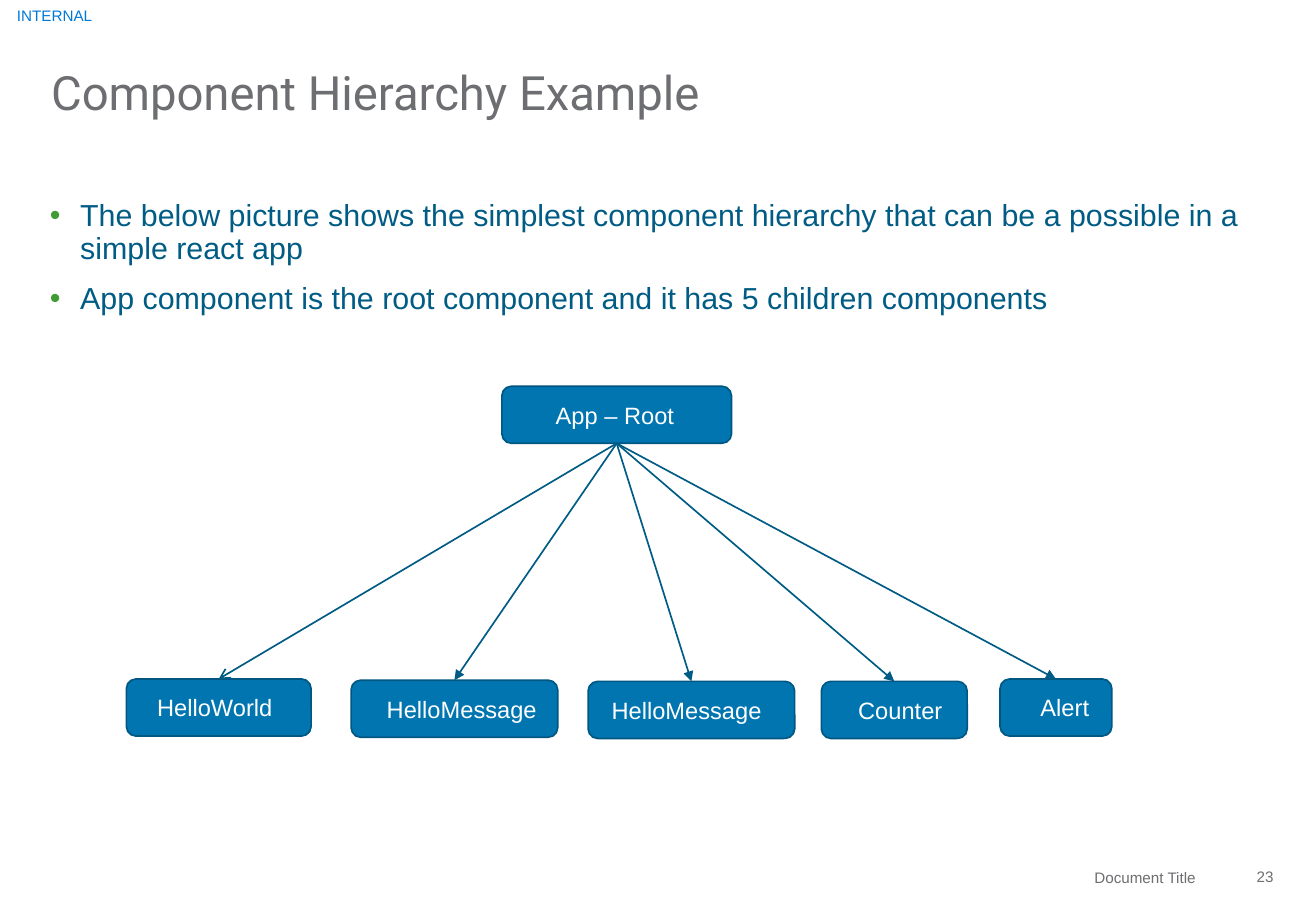
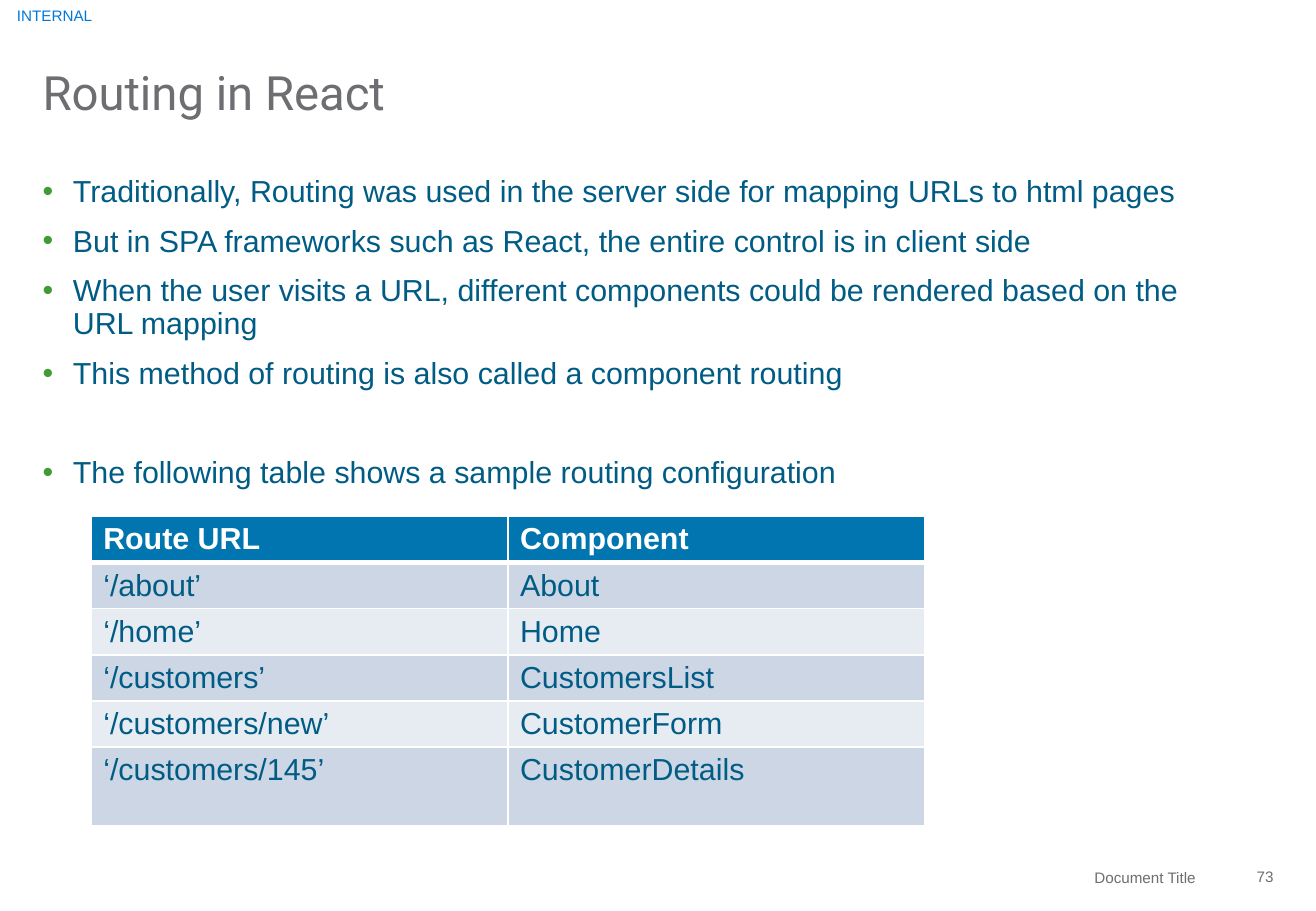
from dataclasses import dataclass
from typing import Any

from lxml.etree import SubElement
from pptx import Presentation
from pptx.dml.color import RGBColor
from pptx.enum.shapes import MSO_CONNECTOR as Connector, MSO_SHAPE as Preset
from pptx.enum.text import MSO_ANCHOR as Anchor, MSO_AUTO_SIZE as AutoSize, PP_ALIGN as Align
from pptx.oxml.ns import qn
from pptx.util import Inches, Pt

COLOURS = {
    "grey": "6D6E71",
    "label": "0078D7",
    "ink": "005C84",
    "bullet": "3F9C35",
    "fill": "0075B0",
    "outline": "005782",
    "white": "FFFFFF",
    "dark_band": "CCD6E4",
    "light_band": "E7ECF2",
}

NO_MARGINS = {f"margin_{side}": 0 for side in ("left", "top", "right", "bottom")}
FRAME = NO_MARGINS | {"word_wrap": True, "auto_size": AutoSize.NONE}
TITLE_FONT = {"name": "Roboto", "size": Pt(28), "bold": False}
BODY_FONT = {"name": "Arial", "size": Pt(18), "bold": False}
HEADER_FONT = BODY_FONT | {"bold": True}
NODE_FONT = {"name": "Arial", "size": Pt(14)}
SMALL_FONT = {"name": "Arial", "size": Pt(9)}


@dataclass(frozen=True)
class Area:
    left: float
    top: float
    width: float
    height: float

    def lengths(self) -> tuple:
        return tuple(Inches(v) for v in (self.left, self.top, self.width, self.height))


@dataclass(frozen=True)
class Marking:
    text: str
    area: Area
    colour: str
    align: Any = Align.LEFT
    right_margin: float = 0


@dataclass(frozen=True)
class Bullet:
    text: str
    space_before: float = 10


@dataclass(frozen=True)
class Node:
    text: str
    area: Area
    text_inset: float
    arrowhead: str = "triangle"


NODE_HEIGHT = 0.47
ROOT = Node("App – Root", Area(4.13, 3.18, 1.89, NODE_HEIGHT), 0.42)
CHILDREN = [
    Node("HelloWorld", Area(1.04, 5.59, 1.52, NODE_HEIGHT), 0.23, "arrow"),
    Node("HelloMessage", Area(2.89, 5.6, 1.7, NODE_HEIGHT), 0.27),
    Node("HelloMessage", Area(4.84, 5.61, 1.7, NODE_HEIGHT), 0.17),
    Node("Counter", Area(6.76, 5.61, 1.2, NODE_HEIGHT), 0.28),
    Node("Alert", Area(8.23, 5.59, 0.92, NODE_HEIGHT), 0.31),
]
HIERARCHY_POINTS = [
    Bullet(
        "The below picture shows the simplest component hierarchy "
        "that can be a possible in a simple react app",
        0,
    ),
    Bullet("App component is the root component and it has 5 children components"),
]
ROUTING_POINTS = [
    Bullet("Traditionally, Routing was used in the server side for mapping URLs to html pages", 0),
    Bullet("But in SPA frameworks such as React, the entire control is in client side"),
    Bullet(
        "When the user visits a URL, different components could be rendered "
        "based on the URL mapping"
    ),
    Bullet("This method of routing is also called a component routing"),
    Bullet("The following table shows a sample routing configuration", 39.6),
]
ROUTES = [
    ("Route URL", "Component"),
    ("‘/about’", "About"),
    ("‘/home’", "Home"),
    ("‘/customers’", "CustomersList"),
    ("‘/customers/new’", "CustomerForm"),
    ("‘/customers/145’", "CustomerDetails"),
]


def rgb(name: str) -> RGBColor:
    return RGBColor.from_string(COLOURS[name])


def apply(target: Any, formats: dict) -> None:
    for name, value in formats.items():
        setattr(target, name, value)


def write(para: Any, text: str, font: dict, colour: str) -> None:
    span = para.add_run()
    span.text = text
    apply(span.font, font)
    span.font.color.rgb = rgb(colour)


def place(shape: Any, area: Area) -> None:
    apply(shape, dict(zip(("left", "top", "width", "height"), area.lengths())))


def add_marking(page: Any, marking: Marking) -> None:
    box = page.shapes.add_textbox(*marking.area.lengths())
    frame = box.text_frame
    apply(frame, FRAME | {
        "vertical_anchor": Anchor.MIDDLE,
        "margin_right": Inches(marking.right_margin),
    })
    para = frame.paragraphs[0]
    para.alignment = marking.align
    write(para, marking.text, SMALL_FONT, marking.colour)


def add_bullet_mark(para: Any) -> None:
    properties = para._p.get_or_add_pPr()
    properties.set("marL", str(Inches(0.25)))
    properties.set("indent", str(-Inches(0.25)))
    colour = SubElement(properties, qn("a:buClr"))
    SubElement(colour, qn("a:srgbClr"), val=COLOURS["bullet"])
    SubElement(properties, qn("a:buFont"), typeface="Arial")
    SubElement(properties, qn("a:buChar"), char="•")


def add_page(
    deck: Any, number: int, title: str, title_area: Area, points: list[Bullet], body_area: Area
) -> Any:
    page = deck.slides.add_slide(deck.slide_layouts[1])
    for marking in (
        Marking(str(number), Area(10.09, 7.05, 0.39, 0.33), "grey", Align.RIGHT),
        Marking("Document Title", Area(6.19, 7.08, 3.8, 0.28), "grey", Align.RIGHT, 0.15),
        Marking("INTERNAL", Area(0.14, 0, 0.76, 0.26), "label"),
    ):
        add_marking(page, marking)

    heading = page.shapes.title
    place(heading, title_area)
    apply(heading.text_frame, FRAME | {"vertical_anchor": Anchor.BOTTOM})
    para = heading.text_frame.paragraphs[0]
    apply(para, {"alignment": Align.LEFT, "line_spacing": 0.9})
    write(para, title, TITLE_FONT, "grey")

    body = page.placeholders[1]
    place(body, body_area)
    frame = body.text_frame
    apply(frame, FRAME | {"vertical_anchor": Anchor.TOP})
    for index, point in enumerate(points):
        para = frame.add_paragraph() if index else frame.paragraphs[0]
        add_bullet_mark(para)
        apply(para, {"line_spacing": 0.9, "space_before": Pt(point.space_before)})
        write(para, point.text, BODY_FONT, "ink")
    return page


def add_node(page: Any, node: Node) -> Any:
    box = page.shapes.add_shape(Preset.ROUNDED_RECTANGLE, *node.area.lengths())
    box.shadow.inherit = False
    box.fill.solid()
    box.fill.fore_color.rgb = rgb("fill")
    box.line.color.rgb = rgb("outline")
    box.line.width = Pt(1)
    frame = box.text_frame
    apply(frame, FRAME | {
        "vertical_anchor": Anchor.MIDDLE,
        "margin_left": Inches(node.text_inset),
    })
    para = frame.paragraphs[0]
    para.alignment = Align.LEFT
    write(para, node.text, NODE_FONT, "white")
    return box


def add_arrow(page: Any, parent: Any, child: Any, arrowhead: str) -> None:
    arrow = page.shapes.add_connector(Connector.STRAIGHT, 0, 0, 0, 0)
    arrow.begin_connect(parent, 2)
    arrow.end_connect(child, 0)
    arrow.line.color.rgb = rgb("ink")
    arrow.line.width = Pt(1)
    SubElement(arrow.line._get_or_add_ln(), qn("a:tailEnd"), type=arrowhead)
    SubElement(arrow._element.spPr, qn("a:effectLst"))


def add_borders(cell: Any, bottom: float, top: float) -> None:
    properties = cell._tc.get_or_add_tcPr()
    for side, points in {"L": 1, "R": 1, "T": top, "B": bottom}.items():
        line = SubElement(properties, qn(f"a:ln{side}"), w=str(Pt(points)))
        fill = SubElement(line, qn("a:solidFill"))
        SubElement(fill, qn("a:srgbClr"), val=COLOURS["white"])


def add_route_table(page: Any, area: Area) -> None:
    table = page.shapes.add_table(len(ROUTES), len(ROUTES[0]), *area.lengths()).table
    for index, texts in enumerate(ROUTES):
        is_header = index == 0
        is_last = index == len(ROUTES) - 1
        table.rows[index].height = Inches(0.65 if is_last else 0.37)
        band = "fill" if is_header else "dark_band" if index % 2 else "light_band"
        for column, text in enumerate(texts):
            cell = table.cell(index, column)
            add_borders(cell, 3 if is_header else 1, 3 if index == 1 else 1)
            cell.fill.solid()
            cell.fill.fore_color.rgb = rgb(band)
            write(
                cell.text_frame.paragraphs[0],
                text,
                HEADER_FONT if is_header else BODY_FONT,
                "white" if is_header else "ink",
            )


def add_hierarchy_page(deck: Any) -> None:
    page = add_page(
        deck, 23, "Component Hierarchy Example", Area(0.42, 0.22, 9.99, 0.77),
        HIERARCHY_POINTS, Area(0.41, 1.65, 9.99, 5.32),
    )
    root = add_node(page, ROOT)
    boxes = [add_node(page, child) for child in CHILDREN]
    for child, box in zip(CHILDREN, boxes):
        add_arrow(page, root, box, child.arrowhead)


def add_routing_page(deck: Any) -> None:
    page = add_page(
        deck, 73, "Routing in React", Area(0.35, 0.22, 10.13, 0.77),
        ROUTING_POINTS, Area(0.35, 1.45, 9.9, 5.64),
    )
    add_route_table(page, Area(0.75, 4.25, 6.86, 2.5))


def main() -> None:
    deck = Presentation()
    apply(deck, {"slide_width": Inches(10.83), "slide_height": Inches(7.5)})
    add_hierarchy_page(deck)
    add_routing_page(deck)
    deck.save("out.pptx")


if __name__ == "__main__":
    main()
